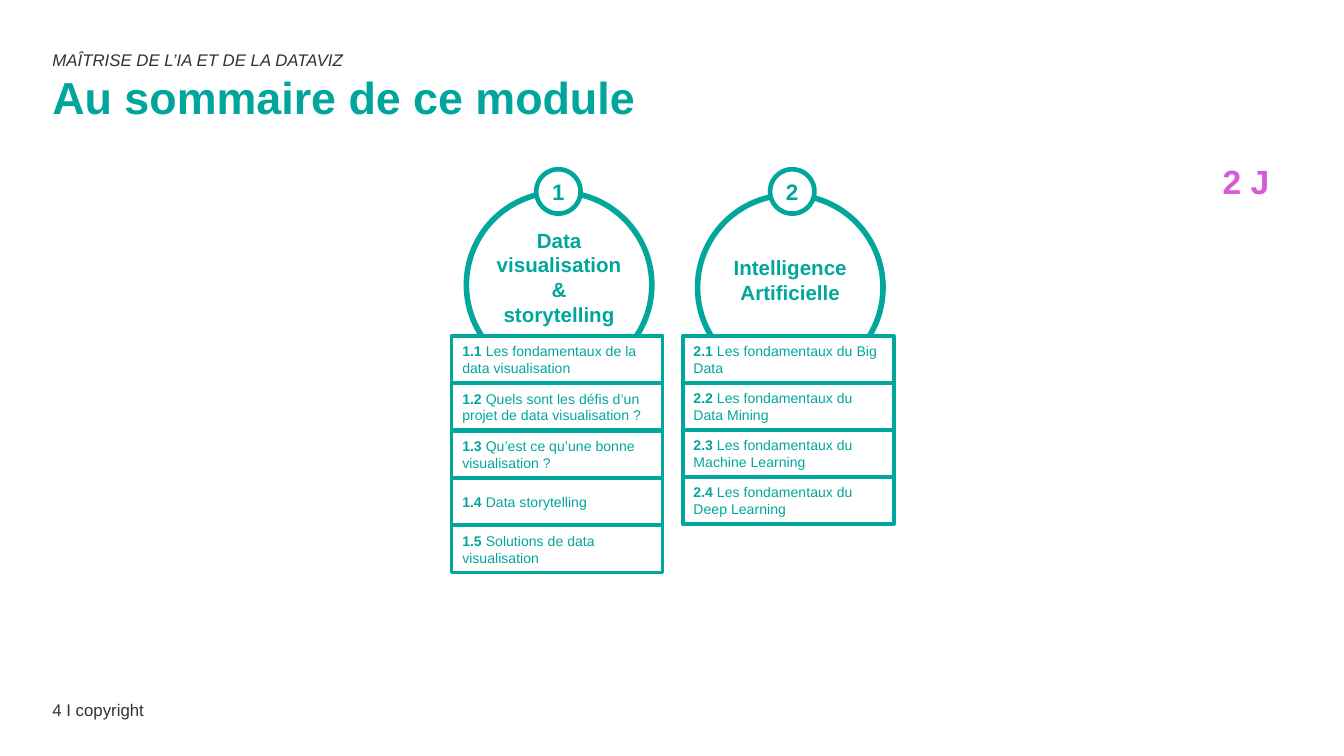
from dataclasses import dataclass

import pptx
import pptx.util
from pptx.dml.color import RGBColor
from pptx.enum.shapes import MSO_SHAPE
from pptx.enum.text import MSO_ANCHOR, PP_ALIGN
from pptx.shapes.autoshape import Shape
from pptx.slide import Slide
from pptx.text.text import TextFrame
from pptx.util import Inches


@dataclass(frozen=True)
class Theme:
    font: str = "Arial"
    teal: str = "00A69C"
    outline: str = "01A69C"
    dark: str = "323232"
    pink: str = "D75AD7"
    white: str = "FFFFFF"
    title_size: float = 24
    duration_size: float = 18
    number_size: float = 12
    heading_size: float = 11
    small_size: float = 9
    topic_size: float = 7.5


@dataclass(frozen=True)
class Box:
    left: float
    top: float
    width: float
    height: float


@dataclass(frozen=True)
class Style:
    size: float
    color: str
    bold: bool = False
    italic: bool = False
    align: PP_ALIGN = PP_ALIGN.LEFT
    anchor: MSO_ANCHOR = MSO_ANCHOR.TOP
    space_after: float = 0
    side_inset: float = 0
    bottom_inset: float = 0


@dataclass(frozen=True)
class Chapter:
    number: int
    heading: str
    left: float
    circle_left: float
    circle_top: float
    badge_left: float
    last_topic_top: float
    topics: tuple[str, ...]


THEME = Theme()
SLIDE_WIDTH = 10
SLIDE_HEIGHT = SLIDE_WIDTH * 9 / 16
CIRCLE_SIZE = 1.38
BADGE_SIZE = 0.33
BADGE_TOP = 1.26
TOPIC_TOP = 2.5
TOPIC_WIDTH = 1.57
TOPIC_HEIGHT = 0.35

EYEBROW = Style(THEME.small_size, THEME.dark, italic=True, space_after=4)
TITLE = Style(THEME.title_size, THEME.teal, bold=True, space_after=4)
FOOTER = Style(THEME.small_size, THEME.dark)
DURATION = Style(THEME.duration_size, THEME.pink, bold=True, align=PP_ALIGN.CENTER,
                 anchor=MSO_ANCHOR.MIDDLE, space_after=4)
HEADING = Style(THEME.heading_size, THEME.teal, bold=True, align=PP_ALIGN.CENTER,
                anchor=MSO_ANCHOR.MIDDLE, space_after=8, bottom_inset=0.12)
NUMBER = Style(THEME.number_size, THEME.teal, bold=True, align=PP_ALIGN.CENTER,
               anchor=MSO_ANCHOR.MIDDLE)
TOPIC = Style(THEME.topic_size, THEME.teal, anchor=MSO_ANCHOR.MIDDLE,
              space_after=8, side_inset=0.08)

CHAPTERS = (
    Chapter(1, "Data visualisation & storytelling", 3.36, 3.47, 1.43, 3.99, 3.91, (
        "Les fondamentaux de la data visualisation",
        "Quels sont les défis d’un projet de data visualisation ?",
        "Qu’est ce qu’une bonne visualisation ?",
        "Data storytelling",
        "Solutions de data visualisation",
    )),
    Chapter(2, "Intelligence Artificielle", 5.08, 5.19, 1.45, 5.73, 3.55, (
        "Les fondamentaux du Big Data",
        "Les fondamentaux du Data Mining",
        "Les fondamentaux du Machine Learning",
        "Les fondamentaux du Deep Learning",
    )),
)


def write_text(frame: TextFrame, text: str, style: Style, label: str = "") -> None:
    """Fill the frame with one paragraph, led by a bold label if one is given."""
    frame.word_wrap = True
    frame.vertical_anchor = style.anchor
    frame.margin_left = frame.margin_right = Inches(style.side_inset)
    frame.margin_top = 0
    frame.margin_bottom = Inches(style.bottom_inset)
    paragraph = frame.paragraphs[0]
    paragraph.alignment = style.align
    paragraph.space_after = pptx.util.Pt(style.space_after)
    font = paragraph.font
    font.name = THEME.font
    font.size = pptx.util.Pt(style.size)
    font.italic = style.italic
    font.color.rgb = RGBColor.from_string(style.color)
    if label:
        label_run = paragraph.add_run()
        label_run.text = label
        label_run.font.bold = True
    else:
        font.bold = style.bold
    paragraph.add_run().text = text


def add_text(slide: Slide, box: Box, text: str, style: Style) -> None:
    shape = slide.shapes.add_textbox(Inches(box.left), Inches(box.top),
                                     Inches(box.width), Inches(box.height))
    write_text(shape.text_frame, text, style)


def add_outlined(slide: Slide, kind: MSO_SHAPE, box: Box, line_color: str,
                 line_width: float) -> Shape:
    shape = slide.shapes.add_shape(kind, Inches(box.left), Inches(box.top),
                                   Inches(box.width), Inches(box.height))
    shape.shadow.inherit = False
    shape.fill.solid()
    shape.fill.fore_color.rgb = RGBColor.from_string(THEME.white)
    shape.line.color.rgb = RGBColor.from_string(line_color)
    shape.line.width = pptx.util.Pt(line_width)
    return shape


def add_chapter(slide: Slide, chapter: Chapter) -> None:
    """Draw the circle, its number badge, then the topics stacked over its base."""
    circle = add_outlined(
        slide, MSO_SHAPE.OVAL,
        Box(chapter.circle_left, chapter.circle_top, CIRCLE_SIZE, CIRCLE_SIZE),
        THEME.outline, 3)
    write_text(circle.text_frame, chapter.heading, HEADING)

    badge = add_outlined(
        slide, MSO_SHAPE.OVAL,
        Box(chapter.badge_left, BADGE_TOP, BADGE_SIZE, BADGE_SIZE), THEME.teal, 2.5)
    write_text(badge.text_frame, str(chapter.number), NUMBER)

    pitch = (chapter.last_topic_top - TOPIC_TOP) / (len(chapter.topics) - 1)
    for index, topic in enumerate(chapter.topics):
        row = add_outlined(
            slide, MSO_SHAPE.RECTANGLE,
            Box(chapter.left, TOPIC_TOP + index * pitch, TOPIC_WIDTH, TOPIC_HEIGHT),
            THEME.outline, 2)
        write_text(row.text_frame, topic, TOPIC, label=f"{chapter.number}.{index + 1} ")


def main() -> None:
    presentation = pptx.Presentation()
    presentation.slide_width = Inches(SLIDE_WIDTH)
    presentation.slide_height = Inches(SLIDE_HEIGHT)
    slide = presentation.slides.add_slide(presentation.slide_layouts[6])

    add_text(slide, Box(0.39, 5.21, 2.36, 0.2), "4 I copyright", FOOTER)
    add_text(slide, Box(0.39, 0.37, 3.94, 0.28), "MAÎTRISE DE L’IA ET DE LA DATAVIZ", EYEBROW)
    add_text(slide, Box(0.39, 0.52, 6.03, 0.51), "Au sommaire de ce module", TITLE)
    add_text(slide, Box(9.01, 1.19, 0.52, 0.31), "2 J", DURATION)
    for chapter in CHAPTERS:
        add_chapter(slide, chapter)

    presentation.save("out.pptx")


if __name__ == "__main__":
    main()
